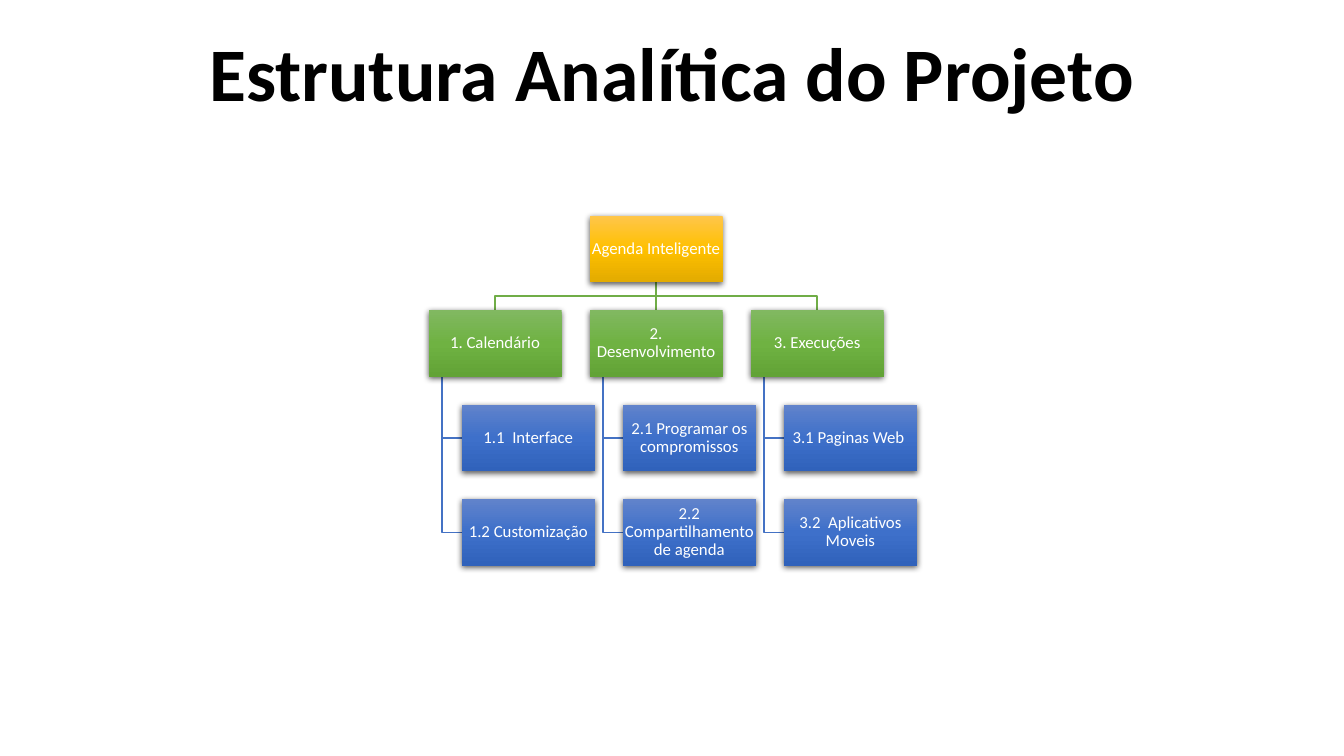
from pptx import Presentation
from pptx import util as u
from pptx.dml.color import RGBColor
from pptx.enum import shapes, text
from pptx.oxml import parse_xml
from pptx.oxml.ns import nsdecls, qn

FONT = "Calibri"
BLACK = RGBColor(0x00, 0x00, 0x00)
WHITE = RGBColor(0xFF, 0xFF, 0xFF)
GREEN_LINE = RGBColor(0x70, 0xAD, 0x47)
BLUE_LINE = RGBColor(0x44, 0x72, 0xC4)
# Gradients from top to bottom
GOLD = [RGBColor(0xFF, 0xC6, 0x4B), RGBColor(0xFF, 0xC0, 0x00), RGBColor(0xE3, 0xAB, 0x00)]
GREEN = [RGBColor(0x81, 0xB8, 0x61), RGBColor(0x6F, 0xB2, 0x42), RGBColor(0x62, 0xA3, 0x36)]
BLUE = [RGBColor(0x61, 0x83, 0xCB), RGBColor(0x3E, 0x70, 0xCA), RGBColor(0x30, 0x62, 0xBB)]

# Chart grid, in inches: gaps follow from the box size
BOX_W, BOX_H = 1.32, 0.66
LEFT, TOP = 4.25, 2.14
COL, ROW = 1.21 * BOX_W, 1.42 * BOX_H
INDENT, TRUNK = BOX_W / 4, BOX_W / 10

BRANCHES = [
    ("1. Calendário", ["1.1  Interface", "1.2 Customização"]),
    ("2. Desenvolvimento", ["2.1 Programar os compromissos",
                            "2.2 Compartilhamento de agenda"]),
    ("3. Execuções", ["3.1 Paginas Web ", "3.2  Aplicativos Moveis"]),
]


def col_x(col):
    return LEFT + col * COL


def row_y(row):
    return TOP + row * ROW


def format_text(tf, size, color, bold=False):
    p = tf.paragraphs[0]
    p.alignment = text.PP_ALIGN.CENTER
    p.line_spacing = 0.9
    font = p.runs[0].font
    font.name, font.size, font.bold = FONT, u.Pt(size), bold
    font.color.rgb = color


def add_title(slide, prs, wording):
    title = slide.shapes.title
    title.left, title.width = int(prs.slide_width / 8), int(prs.slide_width * 0.75)
    title.top, title.height = u.Inches(0.37), u.Inches(0.85)
    tf = title.text_frame
    tf.text = wording
    tf.auto_size = text.MSO_AUTO_SIZE.NONE
    tf.vertical_anchor = text.MSO_ANCHOR.BOTTOM
    format_text(tf, 54, BLACK, bold=True)


def set_gradient(sp, colors):
    sp.fill.gradient()
    sp.fill.gradient_angle = 270
    stops = sp._element.spPr.find(".//" + qn("a:gsLst"))
    for gs in list(stops):
        stops.remove(gs)
    for i, color in enumerate(colors):
        stops.append(parse_xml(
            f'<a:gs {nsdecls("a")} pos="{i * 50000}"><a:srgbClr val="{color}"/></a:gs>'))


def set_shadow(sp):
    sp.shadow.inherit = False
    sp._element.spPr.find(qn("a:effectLst")).append(parse_xml(
        f'<a:outerShdw {nsdecls("a")} blurRad="{u.Pt(4.5)}" dist="{u.Pt(1.5)}" dir="5400000"'
        ' algn="ctr" rotWithShape="0"><a:srgbClr val="000000"><a:alpha val="63000"/>'
        '</a:srgbClr></a:outerShdw>'))


def add_box(slide, x, y, wording, colors):
    sp = slide.shapes.add_shape(shapes.MSO_SHAPE.RECTANGLE, u.Inches(x), u.Inches(y),
                                u.Inches(BOX_W), u.Inches(BOX_H))
    set_gradient(sp, colors)
    sp.line.fill.background()
    set_shadow(sp)
    tf = sp.text_frame
    tf.text = wording
    tf.word_wrap = True
    tf.vertical_anchor = text.MSO_ANCHOR.MIDDLE
    tf.margin_left = tf.margin_right = tf.margin_top = tf.margin_bottom = u.Inches(0.01)
    format_text(tf, 12, WHITE)


def add_elbow(slide, points, color):
    start, *rest = [(u.Inches(x), u.Inches(y)) for x, y in points]
    builder = slide.shapes.build_freeform(*start)
    builder.add_line_segments(rest, close=False)
    sp = builder.convert_to_shape()
    sp.fill.background()
    sp.shadow.inherit = False
    sp.line.color.rgb, sp.line.width = color, u.Pt(1)


def add_straight(slide, start, end, color):
    line = slide.shapes.add_connector(shapes.MSO_CONNECTOR.STRAIGHT,
                                      *[u.Inches(v) for v in (*start, *end)])
    line.line.color.rgb, line.line.width = color, u.Pt(1)
    line._element.spPr.append(parse_xml(f'<a:effectLst {nsdecls("a")}/>'))


def add_links(slide, col, task_count):
    # From the root to the branch
    root_x, branch_x = (col_x(c) + BOX_W / 2 for c in (1, col))
    top, bottom = row_y(0) + BOX_H, row_y(1)
    middle = (top + bottom) / 2
    if col == 1:
        add_straight(slide, (root_x, top), (root_x, bottom), GREEN_LINE)
    else:
        add_elbow(slide, [(root_x, top), (root_x, middle),
                          (branch_x, middle), (branch_x, bottom)], GREEN_LINE)
    # From the branch to its tasks
    trunk_x = col_x(col) + TRUNK
    for row in range(2, 2 + task_count):
        y = row_y(row) + BOX_H / 2
        add_elbow(slide, [(trunk_x, row_y(1) + BOX_H), (trunk_x, y),
                          (col_x(col) + INDENT, y)], BLUE_LINE)


def main():
    prs = Presentation()
    prs.slide_width, prs.slide_height = u.Inches(13.33), u.Inches(7.5)
    slide = prs.slides.add_slide(prs.slide_layouts[5])
    add_title(slide, prs, "Estrutura Analítica do Projeto")

    # Lines lie behind the boxes
    for col, (_, tasks) in enumerate(BRANCHES):
        add_links(slide, col, len(tasks))

    # Root, branches and tasks
    add_box(slide, col_x(1), row_y(0), "Agenda Inteligente", GOLD)
    for col, (branch, tasks) in enumerate(BRANCHES):
        add_box(slide, col_x(col), row_y(1), branch, GREEN)
        for row, task in enumerate(tasks, start=2):
            add_box(slide, col_x(col) + INDENT, row_y(row), task, BLUE)

    prs.save("out.pptx")


main()
